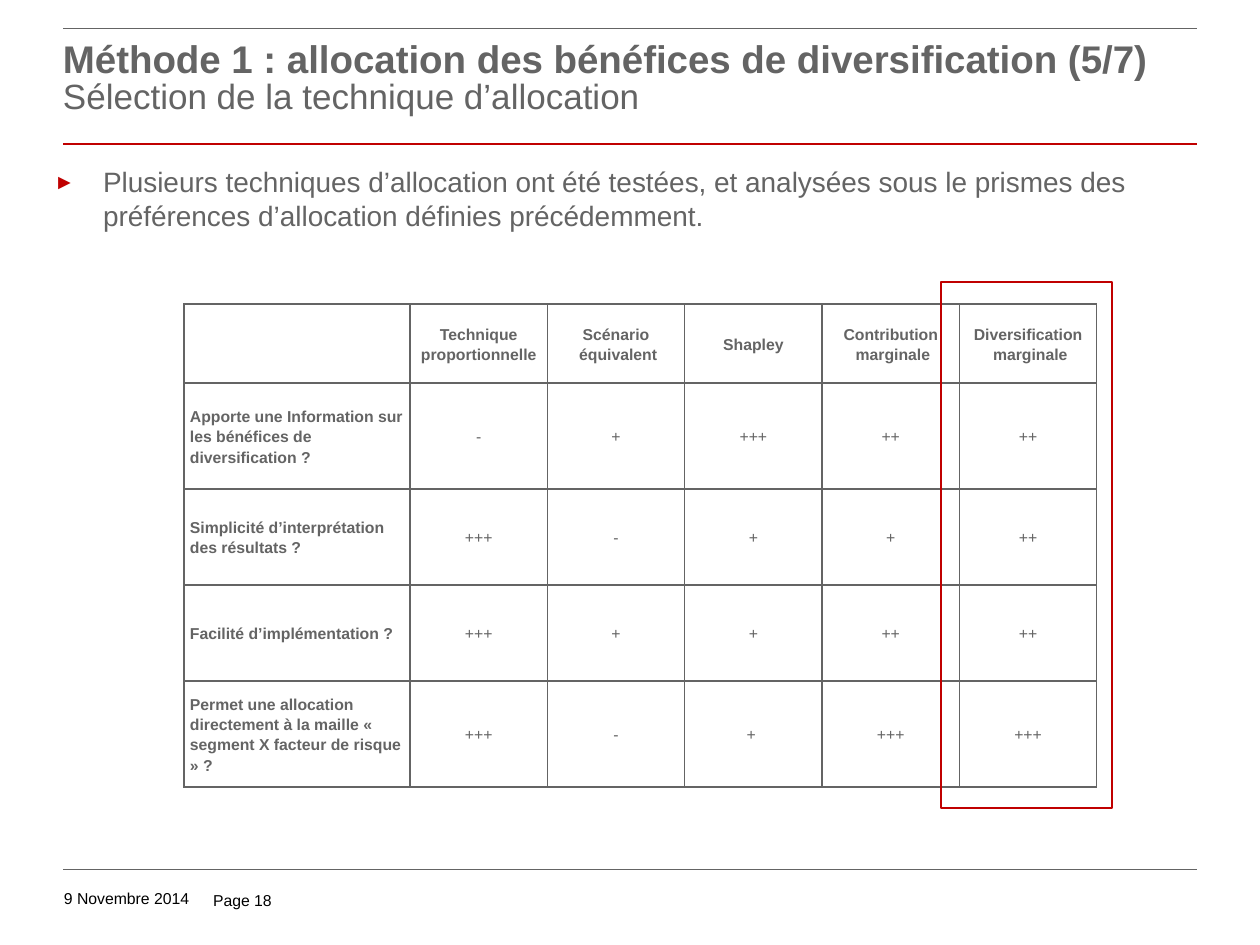
from dataclasses import dataclass

from lxml.etree import SubElement
from pptx import Presentation
from pptx.dml.color import RGBColor
from pptx.enum.shapes import MSO_CONNECTOR, MSO_SHAPE
from pptx.enum.text import MSO_ANCHOR, PP_ALIGN
from pptx.oxml.ns import qn
from pptx.util import Emu, Pt


@dataclass(frozen=True)
class Theme:
    font: str = "Arial"
    grey: str = "646464"
    red: str = "C00000"
    black: str = "000000"
    white: str = "FFFFFF"
    title_size: int = 22
    subtitle_size: int = 20
    body_size: int = 16
    small_size: int = 9


THEME = Theme()
EMU_PER_PX = 914400 / 126

HEADERS = [
    ["Technique proportionnelle"],
    ["Scénario", " équivalent"],
    ["Shapley"],
    ["Contribution", " marginale"],
    ["Diversification", " marginale"],
]
CRITERIA = [
    ("Apporte une Information sur les bénéfices de diversification ?", ["-", "+", "+++", "++", "++"]),
    ("Simplicité d’interprétation des résultats ?", ["+++", "-", "+", "+", "++"]),
    ("Facilité d’implémentation ?", ["+++", "+", "+", "++", "++"]),
    (
        "Permet une allocation directement à la maille « segment X facteur de risque » ?",
        ["+++", "-", "+ ", "+++", "+++"],
    ),
]
ROW_HEIGHTS = [79, 106, 96, 96, 106]
LABEL_WIDTH = 226


def px(length):
    return Emu(round(length * EMU_PER_PX))


def style_font(font, size, color, bold=False):
    font.name = THEME.font
    font.size = Pt(size)
    font.bold = bold
    font.color.rgb = RGBColor.from_string(color)


def add_text_frame(slide, box, top_inset=0):
    text_frame = slide.shapes.add_textbox(*map(px, box)).text_frame
    text_frame.word_wrap = True
    text_frame.margin_left = text_frame.margin_right = text_frame.margin_bottom = 0
    text_frame.margin_top = px(top_inset)
    return text_frame


def add_rule(slide, left, top, width, color, weight):
    connector = slide.shapes.add_connector(
        MSO_CONNECTOR.STRAIGHT, px(left), px(top), px(left + width), px(top)
    )
    connector.line.color.rgb = RGBColor.from_string(color)
    connector.line.width = Pt(weight)
    SubElement(connector._element.spPr, qn("a:effectLst"))


def add_header(slide, left, top, width, height):
    add_rule(slide, left, top, width, THEME.grey, 0.5)
    add_rule(slide, left, top + height, width, THEME.red, 1)
    paragraph = add_text_frame(slide, (left, top + 9, width, height - 7), 5).paragraphs[0]
    paragraph.line_spacing = 0.85
    title = paragraph.add_run()
    title.text = "Méthode 1 : allocation des bénéfices de diversification (5/7)"
    style_font(title.font, THEME.title_size, THEME.grey, bold=True)
    paragraph.add_line_break()
    subtitle = paragraph.add_run()
    subtitle.text = "Sélection de la technique d’allocation"
    style_font(subtitle.font, THEME.subtitle_size, THEME.grey)


def add_body(slide, left, top, width, height):
    paragraph = add_text_frame(slide, (left, top, width, height)).paragraphs[0]
    paragraph.text = (
        "Plusieurs techniques d’allocation ont été testées, et analysées sous le prismes "
        "des préférences d’allocation définies précédemment."
    )
    paragraph.space_before = Pt(3.2)
    style_font(paragraph.font, THEME.body_size, THEME.grey)
    properties = paragraph._p.get_or_add_pPr()
    indent = px(49)
    properties.set("marL", str(indent))
    properties.set("indent", str(-indent))
    bullet_parts = [
        SubElement(properties, qn("a:buClr")),
        SubElement(properties, qn("a:buSzPct"), val="75000"),
        SubElement(properties, qn("a:buFont"), typeface=THEME.font),
        SubElement(properties, qn("a:buChar"), char="►"),
    ]
    SubElement(bullet_parts[0], qn("a:srgbClr"), val=THEME.red)
    properties.append(properties.find(qn("a:defRPr")))


def add_cell_borders(cell):
    properties = cell._tc.get_or_add_tcPr()
    for position, side in enumerate(("a:lnL", "a:lnR", "a:lnT", "a:lnB")):
        border = SubElement(properties, qn(side), w=str(Pt(1)))
        fill = SubElement(border, qn("a:solidFill"))
        SubElement(fill, qn("a:srgbClr"), val=THEME.grey)
        properties.insert(position, border)


def fill_cell(cell, lines, alignment, bold):
    cell.fill.solid()
    cell.fill.fore_color.rgb = RGBColor.from_string(THEME.white)
    cell.margin_left = cell.margin_right = px(6)
    cell.margin_top = cell.margin_bottom = 0
    cell.vertical_anchor = MSO_ANCHOR.MIDDLE
    cell.text = "\n".join(lines)
    for paragraph in cell.text_frame.paragraphs:
        paragraph.alignment = alignment
        paragraph.line_spacing = 1.15
        style_font(paragraph.font, THEME.small_size, THEME.grey, bold)
    add_cell_borders(cell)


def add_comparison_table(slide, left, top, width, height):
    rows = [[[""], *HEADERS]]
    rows += [[[label], *([score] for score in scores)] for label, scores in CRITERIA]
    table = slide.shapes.add_table(
        len(rows), len(rows[0]), px(left), px(top), px(width), px(height)
    ).table
    table.first_row = False
    table.horz_banding = False
    score_width = (width - LABEL_WIDTH) / len(HEADERS)
    for index, column in enumerate(table.columns):
        column.width = px(score_width if index else LABEL_WIDTH)
    for row, row_height in zip(table.rows, ROW_HEIGHTS):
        row.height = px(row_height)
    for row_index, row in enumerate(rows):
        for column_index, lines in enumerate(row):
            alignment = PP_ALIGN.CENTER if column_index else PP_ALIGN.LEFT
            bold = row_index == 0 or column_index == 0
            fill_cell(table.cell(row_index, column_index), lines, alignment, bold)


def add_highlight(slide, left, top, width, height):
    shape = slide.shapes.add_shape(MSO_SHAPE.RECTANGLE, *map(px, (left, top, width, height)))
    shape.shadow.inherit = False
    shape.fill.background()
    shape.line.color.rgb = RGBColor.from_string(THEME.red)
    shape.line.width = Pt(1.5)


def add_footer(slide, left, top, width):
    add_rule(slide, left, top, width, THEME.grey, 0.25)
    labels = [
        ("9 Novembre 2014", (left + 1, top + 20, 139, 30)),
        ("Page 18", (left + 150, top + 22, 92, 28)),
    ]
    for text, box in labels:
        paragraph = add_text_frame(slide, box).paragraphs[0]
        paragraph.text = text
        style_font(paragraph.font, THEME.small_size, THEME.black)


def main():
    presentation = Presentation()
    presentation.slide_width = px(1260)
    presentation.slide_height = px(945)
    slide = presentation.slides.add_slide(presentation.slide_layouts[6])
    add_header(slide, 63, 28, 1134, 116)
    add_body(slide, 54, 165, 1150, 79)
    add_comparison_table(slide, 184, 304, 913, sum(ROW_HEIGHTS))
    add_highlight(slide, 941, 282, 171, 526)
    add_footer(slide, 63, 869, 1134)
    presentation.save("out.pptx")


if __name__ == "__main__":
    main()
